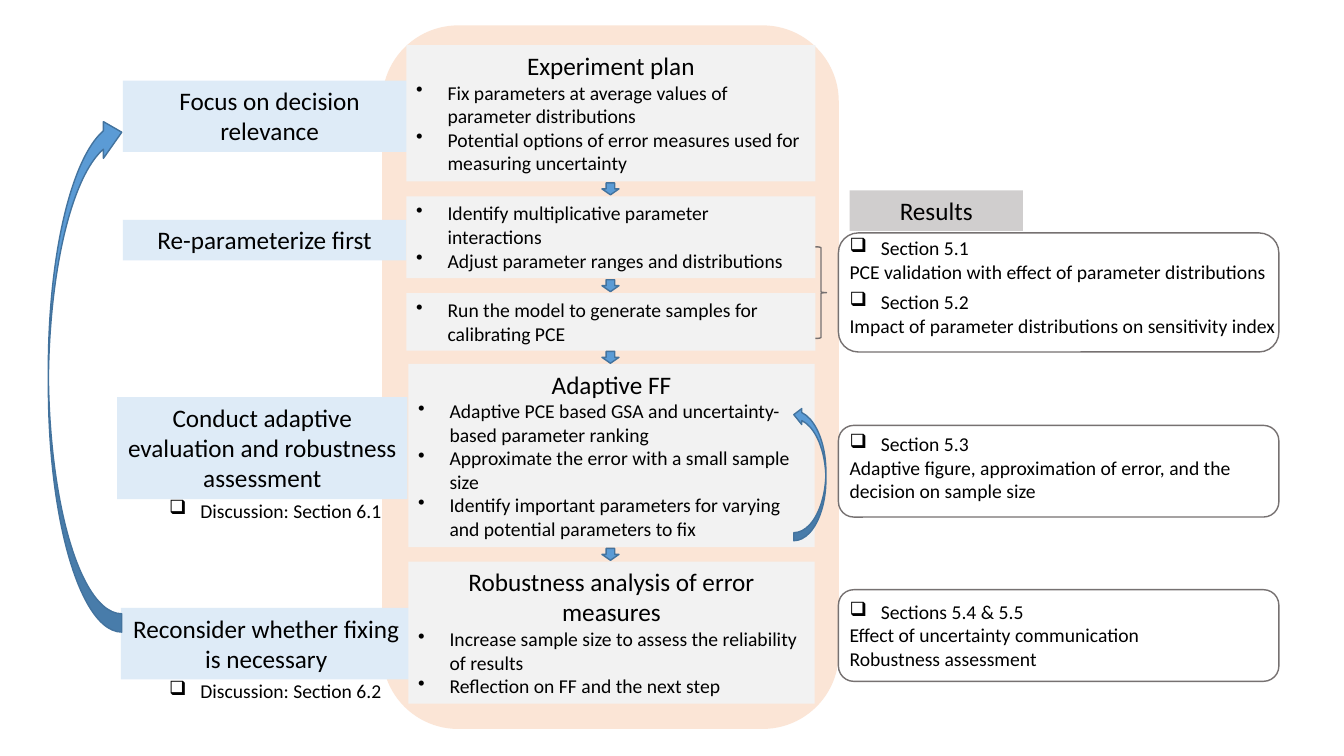
from collections import namedtuple
from dataclasses import dataclass
from itertools import pairwise

from lxml import etree
from pptx import Presentation
from pptx.dml.color import RGBColor
from pptx.enum.shapes import MSO_SHAPE
from pptx.enum.text import MSO_ANCHOR, PP_ALIGN
from pptx.oxml.ns import qn
from pptx.util import Cm, Pt

RECT, ROUND = MSO_SHAPE.RECTANGLE, MSO_SHAPE.ROUNDED_RECTANGLE
DOWN, BRACE = MSO_SHAPE.DOWN_ARROW, MSO_SHAPE.RIGHT_BRACE
CURVE_UP, CURVE_RIGHT = MSO_SHAPE.CURVED_UP_ARROW, MSO_SHAPE.CURVED_RIGHT_ARROW
LEFT, CENTER, TOP = PP_ALIGN.LEFT, PP_ALIGN.CENTER, MSO_ANCHOR.TOP
DOT, CHECK = "\u2022", "\u2751"

Box = namedtuple("Box", "x y w h")  # centimetres


@dataclass(frozen=True)
class Theme:
    """Colours, type sizes and font of the slide."""
    font: str = "Calibri"
    head: int = 18
    body: int = 14
    text: str = "000000"
    panel: str = "FBE5D6"
    goal: str = "DEEBF7"
    step: str = "F2F2F2"
    label: str = "D0CECE"
    arrow: str = "5B9BD5"
    arrow_line: str = "43739E"
    outline: str = "767171"


T = Theme()

# left, top, width, height within the region; title; bullets
STEPS = [
    (0.61, 0.5, 10.31, 3.43, "Experiment plan",
     ["Fix parameters at average values of parameter distributions",
      "Potential options of error measures used for measuring uncertainty"]),
    (0.61, 4.31, 10.31, 2.06, None,
     ["Identify multiplicative parameter interactions",
      "Adjust parameter ranges and distributions"]),
    (0.61, 6.75, 10.31, 1.45, None,
     ["Run the model to generate samples for calibrating PCE"]),
    (0.66, 8.53, 10.24, 4.62, "Adaptive FF",
     ["Adaptive PCE based GSA and uncertainty-based parameter ranking",
      "Approximate the error with a small sample size",
      "Identify important parameters for varying and potential parameters to fix"]),
    (0.66, 13.51, 10.24, 3.58, "Robustness analysis of error measures",
     ["Increase sample size to assess the reliability of results",
      "Reflection on FF and the next step"]),
]
# left, top, width, height within the region; goal; note below it
GOALS = [
    (1.88, 0, 7.39, 1.8, "Focus on decision relevance", None),
    (1.88, 3.51, 7.14, 1.02, "Re-parameterize first", None),
    (1.73, 7.98, 7.32, 2.57,
     "Conduct adaptive evaluation and robustness assessment",
     "Discussion: Section 6.1"),
    (1.83, 13.29, 7.32, 1.8, "Reconsider whether fixing is necessary",
     "Discussion: Section 6.2"),
]
# top and height of each frame within the region
FRAMES = [(1.07, 3.0), (5.92, 2.31), (10.06, 2.31)]
# top, width; section; findings
SECTIONS = [
    (1.02, 11.13, "Section 5.1",
     ["PCE validation with effect of parameter distributions"]),
    (2.39, 11.56, "Section 5.2",
     ["Impact of parameter distributions on sensitivity index"]),
    (5.97, 10.59, "Section 5.3",
     ["Adaptive figure, approximation of error, and the decision on sample size"]),
    (10.19, 10.59, "Sections 5.4 & 5.5",
     ["Effect of uncertainty communication", "Robustness assessment"]),
]


def within(region, x, y, w, h):
    """Return a box whose offset is measured from the region's corner."""
    return Box(region.x + x, region.y + y, w, h)


def add_block(s, kind, box, fill=None, line=None):
    """Add a preset shape with a plain fill and outline."""
    sp = s.shapes.add_shape(kind, *map(Cm, box))
    sp.shadow.inherit = False
    if fill:
        sp.fill.solid()
        sp.fill.fore_color.rgb = RGBColor.from_string(fill)
    else:
        sp.fill.background()
    if line:
        sp.line.color.rgb = RGBColor.from_string(line)
        sp.line.width = Pt(1)
    else:
        sp.line.fill.background()
    tf = sp.text_frame
    tf.word_wrap = True
    tf.vertical_anchor = TOP
    return sp


def add_text(tf, text, size=T.body, align=LEFT, bullet=None):
    """Write one paragraph, filling the empty first one before adding more."""
    p = tf.paragraphs[0]
    if p.runs:
        p = tf.add_paragraph()
    p.alignment = align
    if bullet:
        pPr = p._p.get_or_add_pPr()
        pPr.set("marL", str(Cm(0.79)))
        pPr.set("indent", str(-Cm(0.79)))
        etree.SubElement(pPr, qn("a:buChar")).set("char", bullet)
    r = p.add_run()
    r.text = text
    r.font.name, r.font.size = T.font, Pt(size)
    r.font.color.rgb = RGBColor.from_string(T.text)


def add_text_box(s, box):
    """Add a wrapping text box and return its text frame."""
    tf = s.shapes.add_textbox(*map(Cm, box)).text_frame
    tf.word_wrap = True
    return tf


def draw_goals(s, region):
    """Draw the goals on the left, their notes and the feedback arrow."""
    for x, y, w, h, goal, note in GOALS:
        sp = add_block(s, RECT, within(region, x, y, w, h), T.goal)
        add_text(sp.text_frame, goal, size=T.head, align=CENTER)
        if note:
            tf = add_text_box(s, within(region, 2.79, y + h - 0.14, 6, 0.86))
            add_text(tf, note, bullet=CHECK)
    sp = add_block(s, CURVE_RIGHT, within(region, 0, 0.84, 1.85, 13.06),
                   T.arrow, T.arrow_line)
    sp._element.spPr.find(qn("a:xfrm")).set("flipV", "1")


def draw_steps(s, region):
    """Draw the steps, the arrows in their gaps, the loop and the brace."""
    for x, y, w, h, title, bullets in STEPS:
        tf = add_block(s, RECT, within(region, x, y, w, h), T.step).text_frame
        if title:
            add_text(tf, title, size=T.head, align=CENTER)
        for text in bullets:
            add_text(tf, text, bullet=DOT)

    arrow_w, arrow_h = 0.43, 0.3
    for upper, lower in pairwise(STEPS):
        middle = (upper[1] + upper[3] + lower[1]) / 2
        box = within(region, (region.w - arrow_w) / 2, middle - arrow_h / 2,
                     arrow_w, arrow_h)
        add_block(s, DOWN, box, T.arrow, T.arrow_line)

    loop = add_block(s, CURVE_UP, within(region, 9.09, 10.89, 3.38, 0.81),
                     T.arrow, T.arrow_line)
    loop.rotation = 270
    add_block(s, BRACE, within(region, 10.92, 5.58, 0.28, 2.31), line=T.outline)


def draw_results(s, region):
    """Draw the results label, the frames and the sections in them."""
    label = add_block(s, RECT, within(region, 0.28, 0, 4.37, 1.02), T.label)
    add_text(label.text_frame, "Results", size=T.head, align=CENTER)
    for y, h in FRAMES:
        add_block(s, ROUND, within(region, 0, y, region.w, h), line=T.outline)
    for y, w, section, findings in SECTIONS:
        tf = add_text_box(s, within(region, 0.03, y, w, 1.45))
        add_text(tf, section, bullet=CHECK)
        for text in findings:
            add_text(tf, text)


def main():
    """Build the slide and save it."""
    prs = Presentation()
    prs.slide_width, prs.slide_height = Cm(33.87), Cm(19.05)
    s = prs.slides.add_slide(prs.slide_layouts[6])
    process = Box(9.63, 0.64, 11.51, 17.73)
    add_block(s, ROUND, process, T.panel)
    draw_goals(s, Box(1.22, 2.03, 9.27, 15.09))
    draw_steps(s, process)
    draw_results(s, Box(21.13, 4.8, 11.1, 12.37))
    prs.save("out.pptx")


main()
